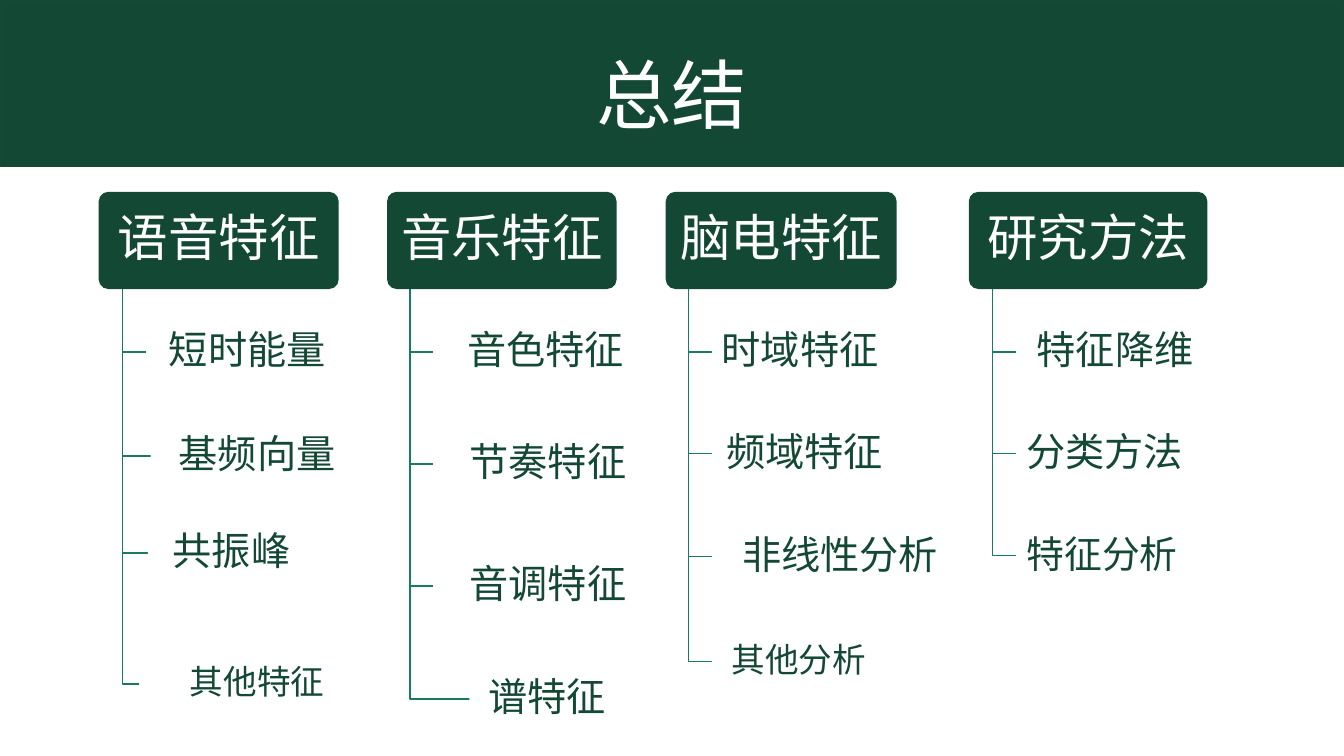
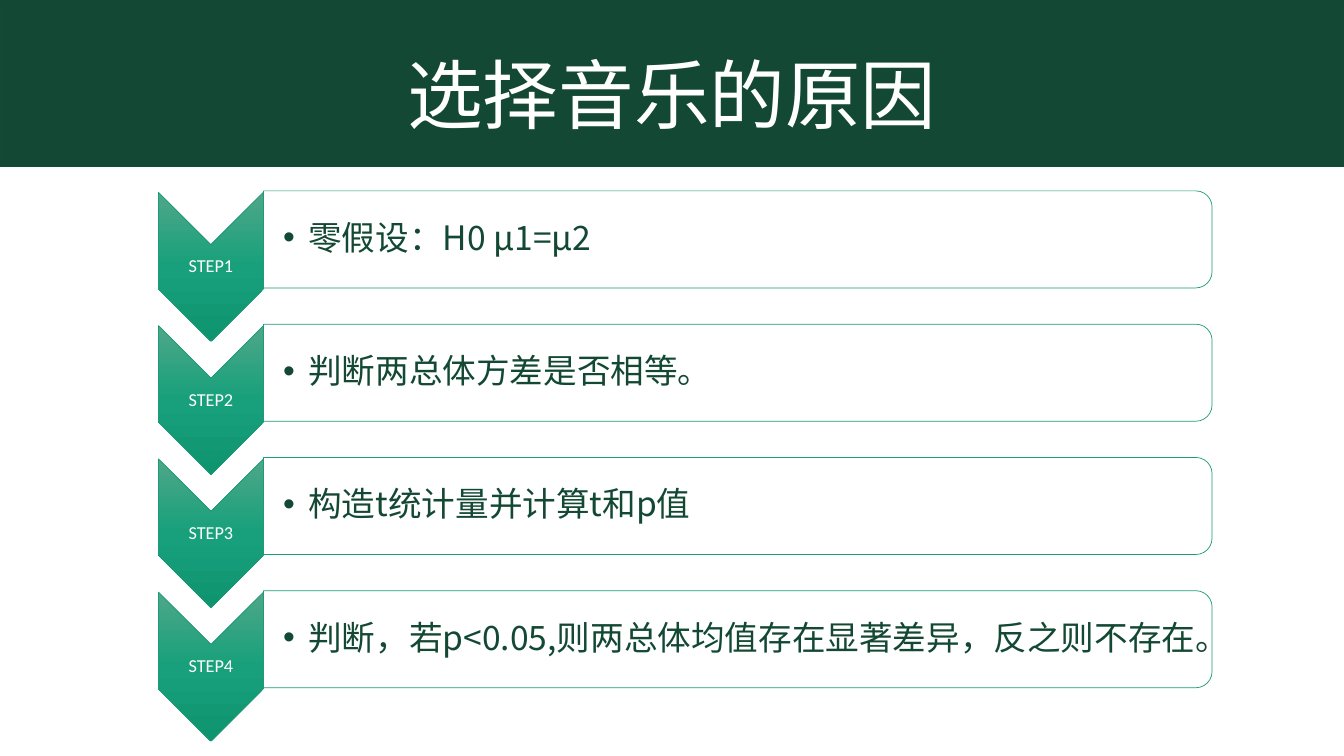
from dataclasses import dataclass
from lxml.etree import SubElement
from pptx import Presentation
from pptx.dml.color import RGBColor
from pptx.enum.shapes import MSO_SHAPE
from pptx.enum.text import MSO_ANCHOR, MSO_AUTO_SIZE, PP_ALIGN
from pptx.oxml.ns import qn
from pptx.util import Pt


@dataclass(frozen=True)
class Theme:
    dark: str = "134834"
    edge: str = "144A35"
    white: str = "FFFFFF"
    branch: str = "177B60"
    rim: str = "1D9A78"
    fade: tuple = ((0, "4EA788"), (50, "17A07B"), (100, "0F9470"))
    han: str = "Noto Sans CJK SC"
    latin: str = "Calibri"
    title: int = 54
    head: int = 36
    label: int = 28
    body: int = 24
    step: int = 13


class Deck:
    def __init__(self, theme):
        self.theme = theme
        self.show = Presentation()
        self.show.slide_width = Pt(960)
        self.show.slide_height = Pt(540)
        self.slide = None

    def letter(self, shape, text, size, color, font=None, align=PP_ALIGN.CENTER,
               inset=(0, 0, 0, 0), wrap=True, lines=0.9, bullet=False):
        frame = shape.text_frame
        frame.text = text
        frame.word_wrap = wrap
        frame.auto_size = MSO_AUTO_SIZE.NONE
        frame.vertical_anchor = MSO_ANCHOR.MIDDLE
        (frame.margin_left, frame.margin_top,
         frame.margin_right, frame.margin_bottom) = map(Pt, inset)
        name = font or self.theme.han
        for para in frame.paragraphs:
            para.alignment = align
            para.line_spacing = lines
            if bullet:
                props = para._p.get_or_add_pPr()
                props.set("marL", str(Pt(18)))
                props.set("indent", str(-Pt(18)))
                SubElement(props, qn("a:buFont")).set("typeface", "Arial")
                SubElement(props, qn("a:buChar")).set("char", "•")
            for run in para.runs:
                run.font.size = Pt(size)
                run.font.color.rgb = RGBColor.from_string(color)
                run.font.name = name
                SubElement(run._r.get_or_add_rPr(), qn("a:ea")).set("typeface", name)

    def ink(self, shape, color, width):
        shape.line.color.rgb = RGBColor.from_string(color)
        shape.line.width = Pt(width)

    def shape(self, kind, left, top, width, height, fill, line=None, weight=0.5):
        shape = self.slide.shapes.add_shape(kind, Pt(left), Pt(top), Pt(width), Pt(height))
        shape.shadow.inherit = False
        if fill:
            shape.fill.solid()
            shape.fill.fore_color.rgb = RGBColor.from_string(fill)
        if line:
            self.ink(shape, line, weight)
        else:
            shape.line.fill.background()
        return shape

    def turned(self, kind, mid_x, mid_y, width, height, fill):
        shape = self.shape(kind, mid_x - height / 2, mid_y - width / 2,
                           height, width, fill, self.theme.rim)
        shape.rotation = 90
        return shape

    def page(self, title):
        theme = self.theme
        self.slide = self.show.slides.add_slide(self.show.slide_layouts[5])
        head = self.slide.shapes.title
        width = len(title) * theme.title + 15
        head.left, head.top = Pt(480 - width / 2), Pt(30)
        head.width, head.height = Pt(width), Pt(73)
        self.letter(head, title, theme.title, theme.white, wrap=False, lines=1.0)
        band = self.shape(MSO_SHAPE.RECTANGLE, 0, 0, 960, 119, theme.dark, theme.edge, 1)
        head._element.addprevious(band._element)

    def card(self, text, left, top, width, height, size, fill, color, inset):
        card = self.shape(MSO_SHAPE.ROUNDED_RECTANGLE, left, top, width, height, fill)
        card.adjustments[0] = 0.1
        self.letter(card, text, size, color, inset=inset)

    def elbow(self, left, top, right, end):
        pen = self.slide.shapes.build_freeform(Pt(left), Pt(top))
        pen.add_line_segments([(Pt(left), Pt(end)), (Pt(right), Pt(end))], close=False)
        shape = pen.convert_to_shape()
        shape.shadow.inherit = False
        shape.fill.background()
        self.ink(shape, self.theme.branch, 1)

    def tree(self, head, left, width, items):
        theme = self.theme
        top, height, tall = 137, 69.5, 55.5
        self.card(head, left, top, width, height, theme.head,
                  theme.dark, theme.white, (5, 3.6, 5, 3.6))
        trunk = left + width / 10
        for text, lead, mid, span, size in items:
            self.elbow(trunk, top + height, trunk + lead, mid)
            self.card(text, trunk + lead, mid - tall / 2, span, tall, size,
                      theme.white, theme.dark, (4.3, 2.9, 4.3, 2.9))

    def arrow(self, text, mid_x, mid_y):
        theme = self.theme
        arrow = self.turned(MSO_SHAPE.CHEVRON, mid_x, mid_y, 75, 106.5, None)
        arrow.fill.gradient()
        arrow.fill.gradient_angle = 270
        grad = arrow._element.spPr.find(qn("a:gradFill"))
        grad.set("rotWithShape", "0")
        stops = grad.find(qn("a:gsLst"))
        for old in list(stops):
            stops.remove(old)
        for place, color in theme.fade:
            stop = SubElement(stops, qn("a:gs"))
            stop.set("pos", str(place * 1000))
            SubElement(stop, qn("a:srgbClr")).set("val", color)
        self.text(text, mid_x - 37.5, mid_y - 16, 75, 32, size=theme.step,
                  color=theme.white, font=theme.latin)

    def text(self, text, left, top, width, height, **style):
        box = self.slide.shapes.add_textbox(Pt(left), Pt(top), Pt(width), Pt(height))
        self.letter(box, text, **style)

    def step(self, number, text):
        theme = self.theme
        shift = (number - 1) * 95.2
        mid = 171 + shift
        self.arrow(f"STEP{number}", 150.7, 190.6 + shift)
        self.turned(MSO_SHAPE.ROUND_2_SAME_RECTANGLE, 527, mid, 677.5, 69.3, theme.white)
        self.text(text, 188.6, mid - 31.3, 674, 62.6, size=theme.body, color=theme.dark,
                  align=PP_ALIGN.LEFT, inset=(13.7, 1.4, 1.4, 1.4), bullet=True)


def main():
    theme = Theme()
    big, small = theme.label, theme.body
    deck = Deck(theme)

    deck.page("总结")
    trees = (
        ("语音特征", 70.5, 171.5, (
            ("短时能量", 17, 251.5, 144, big),
            ("基频向量", 20, 325.8, 152, big),
            ("共振峰", 18, 395, 119.5, big),
            ("其他特征", 12, 488.5, 168, small))),
        ("音乐特征", 276.5, 164, (
            ("音色特征", 16.5, 251.5, 160.5, big),
            ("节奏特征", 16.5, 331.5, 164, big),
            ("音调特征", 16.5, 418.5, 164, big),
            ("谱特征", 42.5, 499.3, 111, big))),
        ("脑电特征", 475.5, 165, (
            ("时域特征", 16.5, 251.5, 126, big),
            ("频域特征", 16.5, 324, 132.5, big),
            ("非线性分析", 16.5, 397.5, 183, big),
            ("其他分析", 16.5, 472.3, 124, small))),
        ("研究方法", 692, 170.5, (
            ("特征降维", 17, 251.5, 141, big),
            ("分类方法", 17, 324, 125.5, big),
            ("特征分析", 17, 397, 122.5, big - 1))),
    )
    for tree in trees:
        deck.tree(*tree)

    deck.page("选择音乐的原因")
    steps = (
        "零假设：H0 μ1=μ2",
        "判断两总体方差是否相等。",
        "构造t统计量并计算t和p值",
        "判断，若p<0.05,则两总体均值存在显著差异，反之则不存在。",
    )
    for number, text in enumerate(steps, 1):
        deck.step(number, text)

    deck.show.save("out.pptx")


if __name__ == "__main__":
    main()
